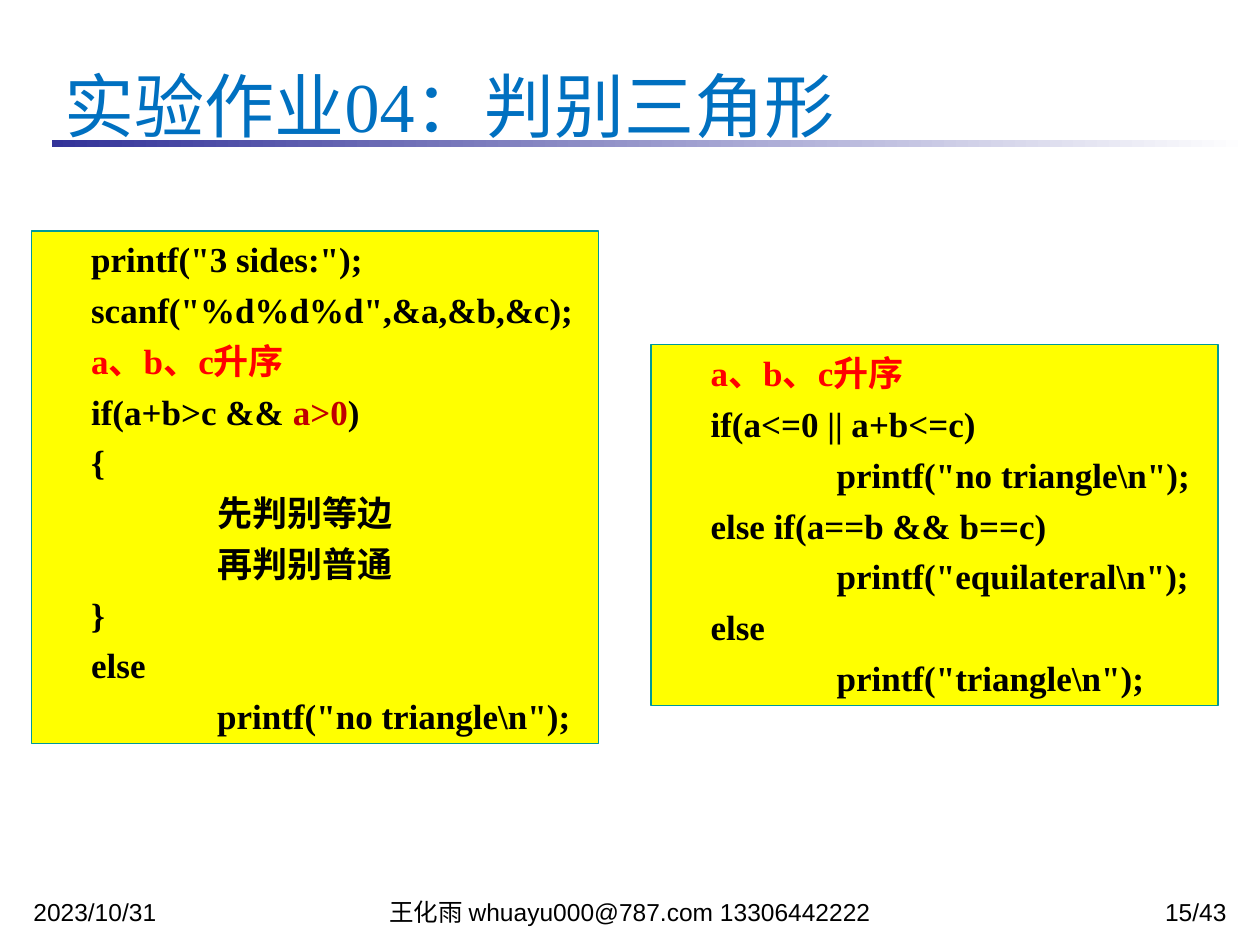
from pptx import Presentation
from pptx.dml.color import RGBColor
from pptx.enum.shapes import MSO_SHAPE
from pptx.enum.text import MSO_ANCHOR, PP_ALIGN
from pptx.util import Pt

RECTANGLE = MSO_SHAPE.RECTANGLE
TOP, MIDDLE = MSO_ANCHOR.TOP, MSO_ANCHOR.MIDDLE
LEFT, CENTER, RIGHT = PP_ALIGN.LEFT, PP_ALIGN.CENTER, PP_ALIGN.RIGHT

BLACK, RED, DARK_RED = "000000", "FF0000", "C00000"
BLUE, INDIGO, WHITE = "0070C0", "333399", "FFFFFF"
YELLOW, TEAL = "FFFF00", "009999"
SERIF, SANS = "Times New Roman", "Arial"
CODE_INDENT, CODE_TAB = 27, 72

# Each code line is (nesting level, [(text, colour), ...]).
SORTED_LINE = (0, [("a、b、c升序", RED)])
NESTED_CODE = [
    (0, [('printf("3 sides:");', BLACK)]),
    (0, [('scanf("%d%d%d",&a,&b,&c);', BLACK)]),
    SORTED_LINE,
    (0, [("if(a+b>c && ", BLACK), ("a>0", DARK_RED), (")", BLACK)]),
    (0, [("{", BLACK)]),
    (1, [("先判别等边", BLACK)]),
    (1, [("再判别普通", BLACK)]),
    (0, [("}", BLACK)]),
    (0, [("else", BLACK)]),
    (1, [(r'printf("no triangle\n");', BLACK)]),
]
CHAINED_CODE = [
    SORTED_LINE,
    (0, [("if(a<=0 || a+b<=c)", BLACK)]),
    (1, [(r'printf("no triangle\n");', BLACK)]),
    (0, [("else if(a==b && b==c)", BLACK)]),
    (1, [(r'printf("equilateral\n");', BLACK)]),
    (0, [("else", BLACK)]),
    (1, [(r'printf("triangle\n");', BLACK)]),
]


def color(value):
    return RGBColor.from_string(value)


def add_span(para, text, size, font, fill=BLACK, bold=False):
    span = para.add_run()
    span.text = text
    span.font.size = Pt(size)
    span.font.name = font
    span.font.bold = bold
    span.font.color.rgb = color(fill)


def add_text(page, box, text, align=LEFT, anchor=TOP, margin=3.6,
             line_spacing=1.0, space_before=0, **span_format):
    frame = page.shapes.add_textbox(*map(Pt, box)).text_frame
    frame.word_wrap = True
    frame.vertical_anchor = anchor
    frame.margin_top = frame.margin_bottom = Pt(margin)
    para = frame.paragraphs[0]
    para.alignment = align
    para.line_spacing = line_spacing
    para.space_before = Pt(space_before)
    add_span(para, text, **span_format)


def add_rectangle(page, box):
    shape = page.shapes.add_shape(RECTANGLE, *map(Pt, box))
    shape.shadow.inherit = False
    return shape


def add_header(page, box):
    """Place the title in the box, with a fading rule near its lower edge."""
    left, top, width, height = box
    rule = add_rectangle(page, (left - 0.5, top + height - 4.2, 684.5, 4.5))
    rule.line.fill.background()
    rule.fill.gradient()
    rule.fill.gradient_angle = 0
    for stop, value in zip(rule.fill.gradient_stops, (INDIGO, WHITE)):
        stop.color.rgb = color(value)
    for stop, position in zip(rule.fill.gradient_stops, (0, 1)):
        stop.position = position
    add_text(page, box, "实验作业04：判别三角形", anchor=MIDDLE,
             line_spacing=1.5, size=40, font=SERIF, fill=BLUE)


def add_code(page, box, lines):
    panel = add_rectangle(page, box)
    panel.fill.solid()
    panel.fill.fore_color.rgb = color(YELLOW)
    panel.line.color.rgb = color(TEAL)
    panel.line.width = Pt(0.75)
    frame = panel.text_frame
    frame.word_wrap = False
    frame.vertical_anchor = MIDDLE
    for index, (level, spans) in enumerate(lines):
        para = frame.add_paragraph() if index else frame.paragraphs[0]
        para.alignment = LEFT
        para.space_before = Pt(5)
        indent = Pt(CODE_INDENT + level * CODE_TAB)
        para._p.get_or_add_pPr().set("marL", str(indent))
        for text, fill in spans:
            add_span(para, text, size=20, font=SERIF, fill=fill, bold=True)


def add_footer(page, box):
    """Place date, author and page number in three columns of the box."""
    left, top, width, height = box
    columns = [
        (0, 168, LEFT, "2023/10/31"),
        (174, 348, CENTER, "王化雨 whuayu000@787.com 13306442222"),
        (width - 138, 138, RIGHT, "15/43"),
    ]
    for offset, column_width, align, text in columns:
        add_text(page, (left + offset, top, column_width, height), text,
                 align=align, margin=0, line_spacing=0.8, space_before=4,
                 size=14, font=SANS)


def main():
    deck = Presentation()
    deck.slide_width, deck.slide_height = Pt(720), Pt(540)
    page = deck.slides.add_slide(deck.slide_layouts[6])
    add_header(page, (30, 12, 528, 72))
    add_code(page, (18, 132, 324, 293), NESTED_CODE)
    add_code(page, (372, 197, 324, 206), CHAINED_CODE)
    add_footer(page, (12, 516, 696, 13))
    deck.save("out.pptx")


if __name__ == "__main__":
    main()
